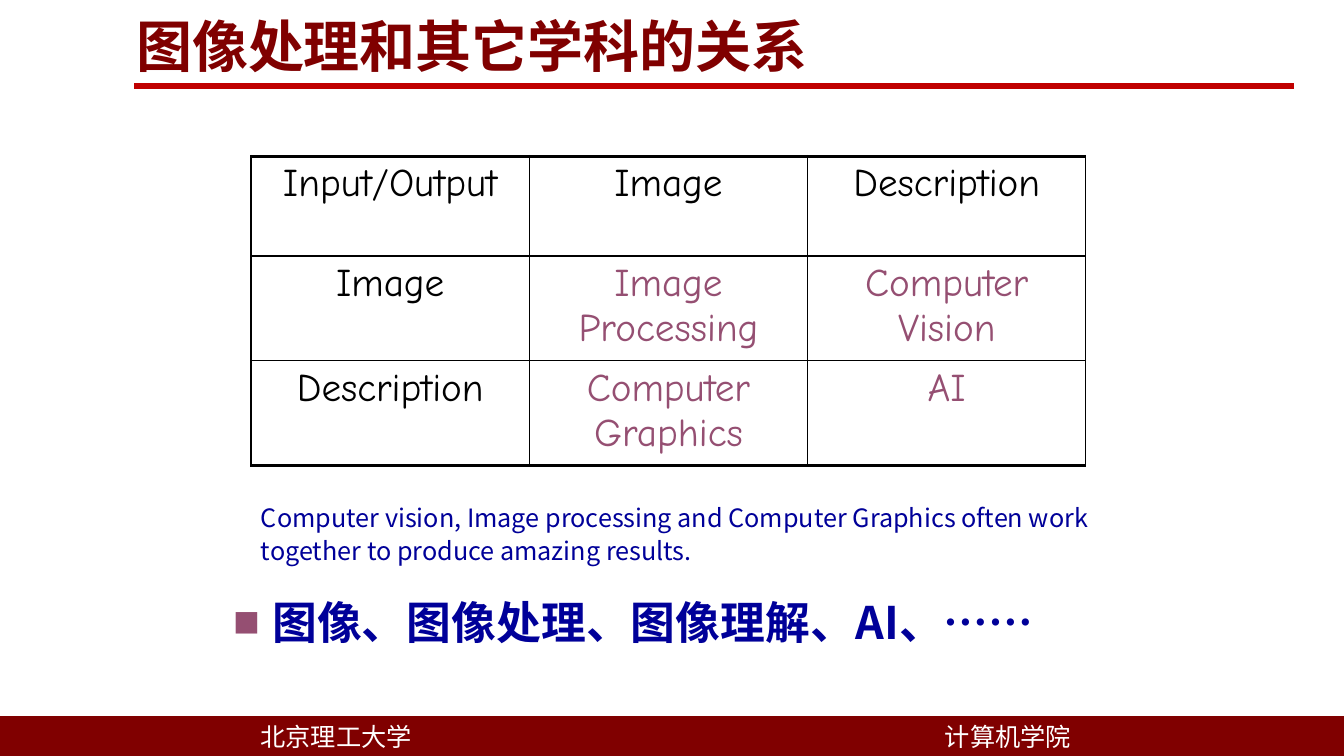
from lxml import etree
from pptx import Presentation
from pptx.dml.color import RGBColor
from pptx.enum.shapes import MSO_CONNECTOR, MSO_SHAPE
from pptx.enum.text import MSO_ANCHOR, MSO_AUTO_SIZE, PP_ALIGN
from pptx.oxml.ns import qn
from pptx.util import Inches, Pt

RECT, LINE = MSO_SHAPE.RECTANGLE, MSO_CONNECTOR.STRAIGHT
TOP, MIDDLE = MSO_ANCHOR.TOP, MSO_ANCHOR.MIDDLE
LEFT, CENTER = PP_ALIGN.LEFT, PP_ALIGN.CENTER
FIXED = MSO_AUTO_SIZE.NONE

# Content
TITLE = "图像处理和其它学科的关系"
GRID = [
    ["Input/Output", "Image", "Description"],
    ["Image", "Image Processing", "Computer Vision"],
    ["Description", "Computer Graphics", "AI"],
]
NOTE = ("Computer vision, Image processing and Computer Graphics "
        "often work together to produce amazing results.")
TOPICS = "图像、图像处理、图像理解、AI、……"
FOOTER = ["北京理工大学", "计算机学院"]

# Theme
SANS, COMIC = "Noto Sans CJK SC", "Comic Neue"
THEME = {
    "maroon": "800000", "rule": "C00000", "accent": "954F72", "black": "000000",
    "title": {"name": SANS, "size": 40, "bold": True, "color": "800000"},
    "note": {"name": SANS, "size": 18, "bold": False, "color": "000099"},
    "topics": {"name": SANS, "size": 32, "bold": True, "color": "000099"},
    "footer": {"name": SANS, "size": 18, "bold": False, "color": "FFFFFF"},
    "head": {"name": COMIC, "size": 28, "bold": False, "color": "000000"},
    "field": {"name": COMIC, "size": 28, "bold": False, "color": "954F72"},
}
WIDTH, HEIGHT = 13.33, 7.5
BAR = 0.39
ROWS, COL = [0.99, 1.04, 1.04], 2.76
THIN, THICK = 1, 2.25


def rgb(code):
    return RGBColor.from_string(code)


def box(*sizes):
    return [Inches(n) for n in sizes]


def place(shape, *sizes):
    for key, val in zip(("left", "top", "width", "height"), box(*sizes)):
        setattr(shape, key, val)


def write(frame, text, style, align=LEFT, space=1.0):
    frame.text = text
    para = frame.paragraphs[0]
    para.alignment, para.line_spacing, para.space_before = align, space, Pt(0)
    run = para.runs[0]
    form = {**THEME[style], "size": Pt(THEME[style]["size"])}
    run.font.color.rgb = rgb(form.pop("color"))
    for key, val in form.items():
        setattr(run.font, key, val)
    east = etree.SubElement(run.font._element, qn("a:ea"))
    east.set("typeface", form["name"])


def setup(frame, anchor=TOP):
    for key, val in {"word_wrap": True, "auto_size": FIXED,
                     "vertical_anchor": anchor}.items():
        setattr(frame, key, val)


def border(cell, widths):
    props = cell._tc.get_or_add_tcPr()
    for spot, (side, width) in enumerate(widths.items()):
        edge = etree.Element(qn("a:ln" + side), w=str(Pt(width)))
        fill = etree.SubElement(edge, qn("a:solidFill"))
        etree.SubElement(fill, qn("a:srgbClr"), val=THEME["black"])
        props.insert(spot, edge)


def bullet(para, sign, indent):
    props = para._p.get_or_add_pPr()
    props.set("marL", str(Inches(indent)))
    props.set("indent", str(-Inches(indent)))
    color = etree.SubElement(props, qn("a:buClr"))
    etree.SubElement(color, qn("a:srgbClr"), val=THEME["accent"])
    etree.SubElement(props, qn("a:buSzPct"), val="60000")
    etree.SubElement(props, qn("a:buFont"), typeface=SANS)
    etree.SubElement(props, qn("a:buChar"), char=sign)


def main():
    deck = Presentation()
    deck.slide_width, deck.slide_height = box(WIDTH, HEIGHT)
    slide = deck.slides.add_slide(deck.slide_layouts[1])
    shapes = slide.shapes

    # Footer bars
    half = WIDTH / len(FOOTER)
    for i, name in enumerate(FOOTER):
        bar = shapes.add_shape(RECT, *box(i * half, HEIGHT - BAR, half, BAR))
        bar.shadow.inherit = False
        bar.fill.solid()
        bar.fill.fore_color.rgb = bar.line.color.rgb = rgb(THEME["maroon"])
        bar.line.width = Pt(1)
        setup(bar.text_frame, MIDDLE)
        write(bar.text_frame, name, "footer", CENTER)

    # Title and rule
    title = shapes.title
    place(title, 1.25, 0.14, 8.92, 0.96)
    setup(title.text_frame)
    write(title.text_frame, TITLE, "title", space=0.9)
    rule = shapes.add_connector(LINE, *box(1.33, 0.85, 12.83, 0.85))
    rule.line.color.rgb = rgb(THEME["rule"])
    rule.line.width = Pt(4.5)
    etree.SubElement(rule._element.spPr, qn("a:effectLst"))

    # Table of fields by input and output
    count = len(GRID[0])
    frame = shapes.add_table(len(GRID), count,
                             *box(2.49, 1.55, COL * count, sum(ROWS)))
    table = frame.table
    table.first_row = table.horz_banding = False
    for col in table.columns:
        col.width = Inches(COL)
    for r, line in enumerate(GRID):
        table.rows[r].height = Inches(ROWS[r])
        edges = {"L": THIN, "R": THIN, "T": THICK if r == 0 else THIN,
                 "B": THICK if r == len(GRID) - 1 else THIN}
        for c, text in enumerate(line):
            cell = table.cell(r, c)
            cell.fill.background()
            border(cell, edges)
            write(cell.text_frame, text, "field" if r and c else "head", CENTER)

    # Note under the table
    note = shapes.add_textbox(*box(2.49, 4.9, 8.9, 0.77))
    setup(note.text_frame)
    write(note.text_frame, NOTE, "note", space=1.1)

    # Topic list
    body = slide.placeholders[1]
    place(body, 2.22, 5.85, 8.82, 0.76)
    setup(body.text_frame)
    write(body.text_frame, TOPICS, "topics")
    bullet(body.text_frame.paragraphs[0], "■", 0.38)

    deck.save("out.pptx")


if __name__ == "__main__":
    main()
